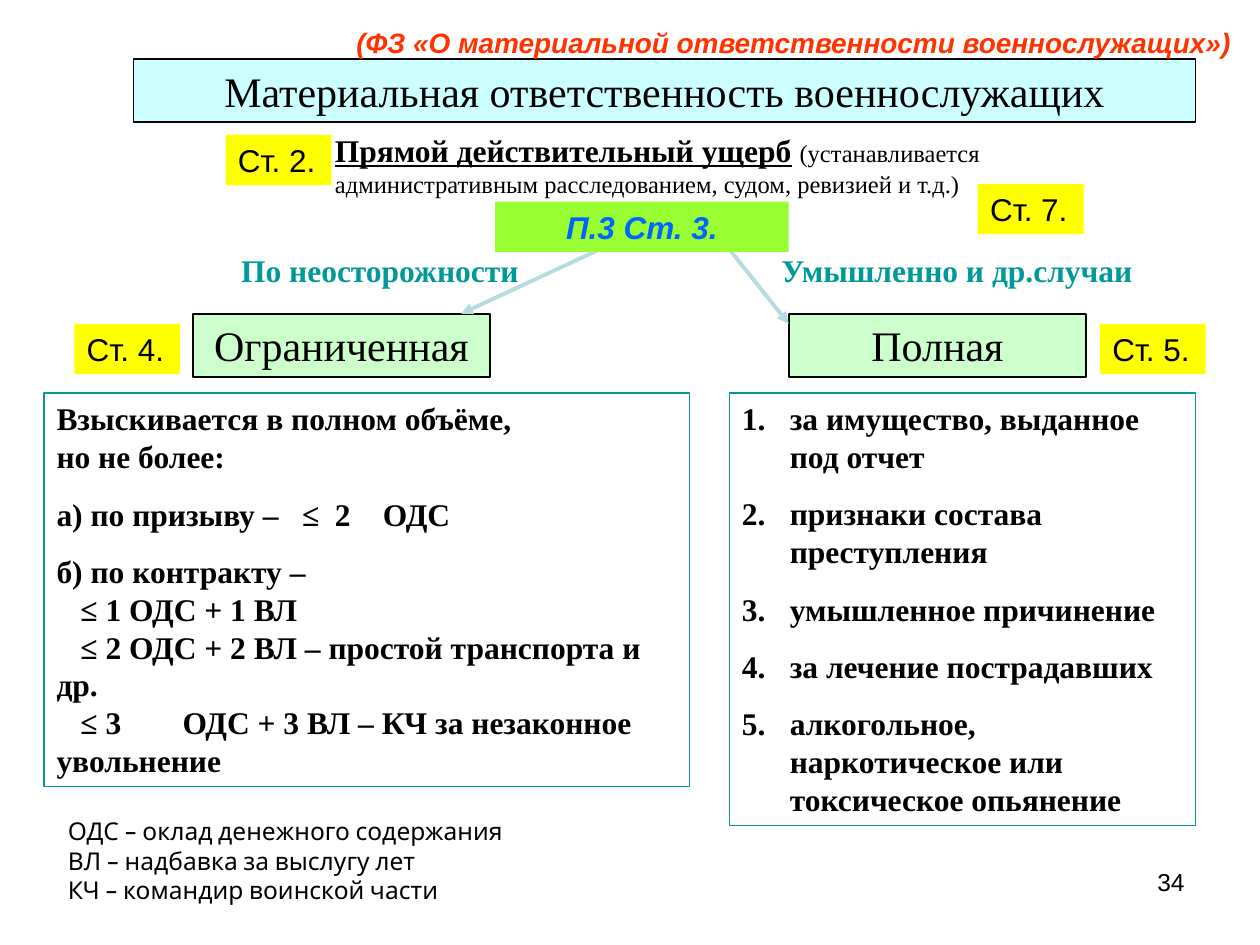
"""Builds a slide on the material liability of service members."""
import dataclasses

import lxml.etree
import pptx
import pptx.dml.color
import pptx.enum.shapes
import pptx.enum.text
import pptx.oxml.ns
import pptx.util

Inches = pptx.util.Inches
Pt = pptx.util.Pt
Align = pptx.enum.text.PP_ALIGN


@dataclasses.dataclass(frozen=True)
class Theme:
    """Holds the colours, fonts and type sizes."""
    ink: str = "000000"
    teal: str = "009999"
    red: str = "FF3300"
    blue: str = "0066FF"
    aqua: str = "CCFFFF"
    mint: str = "CCFFCC"
    lime: str = "99FF33"
    gold: str = "FFFF00"
    mist: str = "B6DCDF"
    serif: str = "Times New Roman"
    sans: str = "Arial"
    note: str = "Cabin"
    head: int = 24
    body: int = 18
    law: int = 16
    small: int = 14
    gap: float = 11.2
    thin: float = 0.75
    edge: float = 1
    thick: float = 2.25


def tint(name):
    """Turns a hex string into a colour."""
    return pptx.dml.color.RGBColor.from_string(name)


def add_tag(parent, name, **values):
    """Appends a drawing element to its parent."""
    return lxml.etree.SubElement(parent, pptx.oxml.ns.qn(name), values)


class Painter:
    """Draws the elements of one slide in one style."""

    def __init__(self, slide, theme):
        """Keeps the slide and the theme."""
        self.slide = slide
        self.theme = theme

    def text(self, shape, rows, size, font, color=None, align=Align.LEFT,
             bold=False, slant=False, wrap=True):
        """Fills a shape with rows of runs."""
        frame = shape.text_frame
        frame.word_wrap = wrap
        frame.auto_size = pptx.enum.text.MSO_AUTO_SIZE.SHAPE_TO_FIT_TEXT
        frame.vertical_anchor = pptx.enum.text.MSO_ANCHOR.TOP
        for place, row in enumerate(rows):
            para = frame.paragraphs[0] if place == 0 else frame.add_paragraph()
            para.alignment = align
            for part in [row] if isinstance(row, str) else row:
                words, look = (part, {}) if isinstance(part, str) else part
                run = para.add_run()
                run.text = words
                run.font.name = font
                run.font.size = Pt(look.get("size", size))
                run.font.bold = look.get("bold", bold)
                run.font.italic = slant
                run.font.underline = look.get("under", False)
                run.font.color.rgb = tint(color or self.theme.ink)
        return frame.paragraphs

    def label(self, spot, rows, size, font, **style):
        """Adds a plain text box."""
        shape = self.slide.shapes.add_textbox(*map(Inches, spot))
        return self.text(shape, rows, size, font, **style)

    def box(self, spot, rows, size, font, fill=None, line=None, width=1, **style):
        """Adds a rectangle with text."""
        kind = pptx.enum.shapes.MSO_SHAPE.RECTANGLE
        shape = self.slide.shapes.add_shape(kind, *map(Inches, spot))
        shape.shadow.inherit = False
        if fill:
            shape.fill.solid()
            shape.fill.fore_color.rgb = tint(fill)
        else:
            shape.fill.background()
        if line:
            shape.line.color.rgb = tint(line)
            shape.line.width = Pt(width)
        else:
            shape.line.fill.background()
        return self.text(shape, rows, size, font, **style)

    def title(self, spot, words, fill):
        """Adds a framed heading."""
        self.box(spot, [words], self.theme.head, self.theme.serif, fill=fill,
                 line=self.theme.ink, width=self.theme.edge, align=Align.CENTER)

    def panel(self, spot, rows):
        """Adds a framed block of bold text."""
        return self.box(spot, rows, self.theme.body, self.theme.serif,
                        line=self.theme.teal, width=self.theme.thin, bold=True)

    def badge(self, left, top, words):
        """Adds a yellow article mark."""
        self.box((left, top, 0.84, 0.4), [words], self.theme.body,
                 self.theme.sans, fill=self.theme.gold, wrap=False)

    def count(self, paras):
        """Numbers the paragraphs."""
        for para in paras:
            props = para._p.get_or_add_pPr()
            props.set("marL", str(Inches(0.38)))
            props.set("indent", str(-Inches(0.38)))
            add_tag(props, "a:buFont", typeface="+mj-lt")
            add_tag(props, "a:buAutoNum", type="arabicPeriod")

    def stops(self, para, places):
        """Sets the tab stops of a paragraph."""
        tabs = add_tag(para._p.get_or_add_pPr(), "a:tabLst")
        for place in places:
            add_tag(tabs, "a:tab", pos=str(Inches(place)), algn="l")

    def space(self, paras):
        """Sets the gap above each paragraph."""
        for para in paras:
            para.space_before = Pt(self.theme.gap)

    def arrow(self, start, end):
        """Adds a line with an arrowhead at its end."""
        kind = pptx.enum.shapes.MSO_CONNECTOR.STRAIGHT
        line = self.slide.shapes.add_connector(kind, *map(Inches, start + end))
        line.line.color.rgb = tint(self.theme.mist)
        line.line.width = Pt(self.theme.thick)
        props = line._element.spPr
        add_tag(props.find(pptx.oxml.ns.qn("a:ln")), "a:tailEnd", type="triangle")
        add_tag(props, "a:effectLst")


def main():
    """Builds and saves the slide."""
    deck = pptx.Presentation()
    deck.slide_width, deck.slide_height = Inches(10), Inches(7.5)
    theme = Theme()
    pen = Painter(deck.slides.add_slide(deck.slide_layouts[6]), theme)

    pen.label((7.17, 6.83, 2.33, 0.52), ["34"], theme.small, theme.sans,
              align=Align.RIGHT)

    cases = pen.panel((5.79, 3.12, 3.7, 3.43), [
        "за имущество, выданное под отчет",
        "признаки состава преступления",
        "умышленное причинение",
        "за лечение пострадавших",
        "алкогольное, наркотическое или токсическое опьянение"])
    pen.space(cases)
    pen.count(cases)

    limits = pen.panel((0.35, 3.12, 5.12, 3.12), [
        "Взыскивается в полном объёме,",
        "но не более:",
        "а) по призыву –\t≤\t2\tОДС",
        "б) по контракту –",
        "≤ 1 ОДС + 1 ВЛ",
        "≤ 2 ОДС + 2 ВЛ – простой транспорта и др.",
        "≤ 3\tОДС + 3 ВЛ – КЧ за незаконное увольнение"])
    pen.space(limits[2:4])
    for para in limits[4:]:
        para._p.get_or_add_pPr().set("indent", str(Inches(0.19)))
    pen.stops(limits[2], (1.95, 2.21, 2.59))
    pen.stops(limits[6], (0.7,))

    pen.title((1.53, 2.49, 2.36, 0.5), "Ограниченная", theme.mint)
    pen.title((6.26, 2.49, 2.36, 0.5), "Полная", theme.mint)
    pen.label((2.56, 0.99, 5.91, 0.64), [[
        ("Прямой действительный ущерб", {"bold": True, "under": True}),
        (" ", {"bold": True}),
        ("(устанавливается административным расследованием, судом, "
         "ревизией и т.д.)", {"size": theme.small})]], theme.body, theme.serif)
    for left, width, words in ((5.94, 3.31, "Умышленно и др.случаи"),
                               (1.69, 2.65, "По неосторожности")):
        pen.label((left, 1.94, width, 0.4), [words], theme.body, theme.serif,
                  color=theme.teal, align=Align.CENTER, bold=True)
    pen.title((1.06, 0.47, 8.43, 0.5),
              "Материальная ответственность военнослужащих", theme.aqua)
    pen.label((2.73, 0.15, 7.16, 0.37),
              ["(ФЗ «О материальной ответственности военнослужащих»)"],
              theme.law, theme.sans, color=theme.red, bold=True, slant=True,
              wrap=False)
    for left, top, words in ((7.76, 1.46, "Ст. 7."), (0.59, 2.57, "Ст. 4."),
                             (1.79, 1.07, "Ст. 2."), (8.73, 2.57, "Ст. 5.")):
        pen.badge(left, top, words)
    pen.label((0.44, 6.43, 3.68, 0.8), [
        "ОДС – оклад денежного содержания",
        "ВЛ – надбавка за выслугу лет",
        "КЧ – командир воинской части"], theme.small, theme.note, wrap=False)
    for end in ((3.66, 2.49), (6.26, 2.57)):
        pen.arrow((5.51, 1.63), end)
    pen.box((3.93, 1.6, 2.33, 0.4), ["П.3 Ст. 3."], theme.body, theme.sans,
            fill=theme.lime, color=theme.blue, align=Align.CENTER, bold=True,
            slant=True)
    deck.save("out.pptx")


if __name__ == "__main__":
    main()
